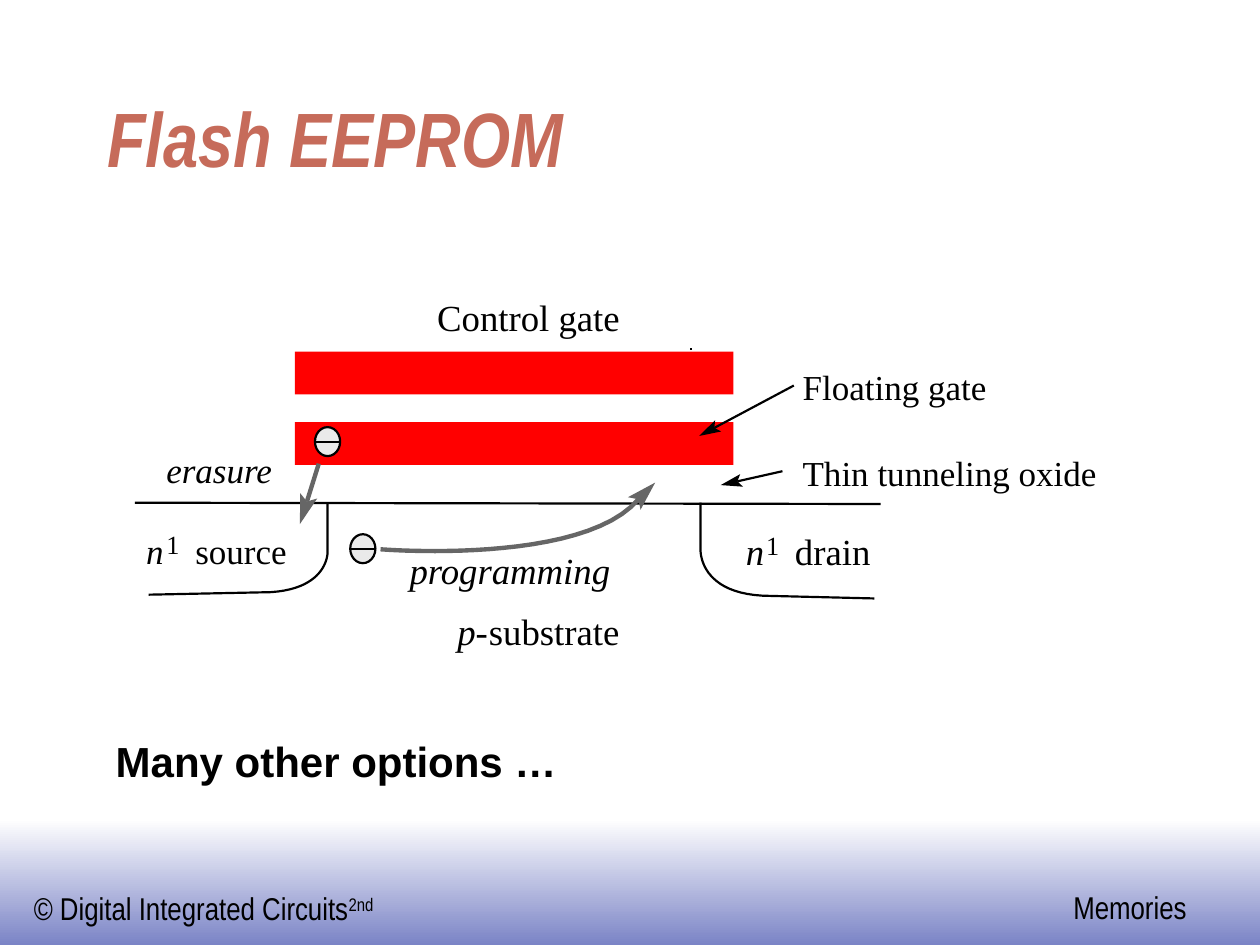
from dataclasses import dataclass
from math import hypot

from lxml import etree
from pptx import Presentation
from pptx import util as u
from pptx.dml.color import RGBColor
from pptx.enum import shapes, text
from pptx.oxml import ns

BLACK = RGBColor(0x00, 0x00, 0x00)
WHITE = RGBColor(0xFF, 0xFF, 0xFF)
RED = RGBColor(0xFF, 0x00, 0x00)
GRAY = RGBColor(0x66, 0x66, 0x66)
PALE = RGBColor(0xEA, 0xEA, 0xEA)
CORAL = RGBColor(0xC6, 0x6B, 0x5A)
PERIWINKLE = RGBColor(0x7B, 0x84, 0xC6)

COLUMNS, ROWS = 100, 75
CELL = u.Inches(0.1)
THIN, THICK = 1.25, 2.5
SERIF, NARROW, SANS = "Times New Roman", "Arial Narrow", "Arial"


@dataclass
class Box:
    left: float
    top: float
    width: float
    height: float

    def point(self, column, row):
        return round((self.left + column) * CELL), round((self.top + row) * CELL)

    def frame(self, column, row, width, height):
        return *self.point(column, row), round(width * CELL), round(height * CELL)


def paint(shape, fill=None, line=None, weight=THIN):
    shape.shadow.inherit = False
    if fill is None:
        shape.fill.background()
    else:
        shape.fill.solid()
        shape.fill.fore_color.rgb = fill
    if line is None:
        shape.line.fill.background()
    else:
        shape.line.color.rgb = line
        shape.line.width = u.Pt(weight)


def style_run(run, size, font, color=BLACK, bold=False, italic=False):
    run.font.size, run.font.name = u.Pt(size), font
    run.font.bold, run.font.italic = bold, italic
    run.font.color.rgb = color


def add_label(slide, frame, words, size, font=SERIF, italic=False, bold=False, inset=0):
    text_frame = slide.shapes.add_textbox(*frame).text_frame
    text_frame.word_wrap = False
    text_frame.auto_size = text.MSO_AUTO_SIZE.SHAPE_TO_FIT_TEXT
    text_frame.margin_left = text_frame.margin_right = u.Inches(inset)
    text_frame.margin_top = text_frame.margin_bottom = u.Inches(inset / 2)
    text_frame.text = words
    paragraph = text_frame.paragraphs[0]
    style_run(paragraph.runs[0], size, font, bold=bold, italic=italic)
    return paragraph


def add_line(slide, box, start, end, color=BLACK, weight=THIN):
    line = slide.shapes.add_connector(
        shapes.MSO_CONNECTOR.STRAIGHT, *box.point(*start), *box.point(*end))
    line.line.color.rgb = color
    line.line.width = u.Pt(weight)
    etree.SubElement(line._element.spPr, ns.qn("a:effectLst"))


def add_outline(slide, box, points, close=False, **look):
    vertices = [box.point(*point) for point in points]
    builder = slide.shapes.build_freeform(*vertices[0])
    builder.add_line_segments(vertices[1:], close=close)
    paint(builder.convert_to_shape(), **look)


def curve(start, first, second, end, steps=24):
    return [
        tuple((1 - t) ** 3 * a + 3 * t * (1 - t) ** 2 * b + 3 * t * t * (1 - t) * c + t ** 3 * d
              for a, b, c, d in zip(start, first, second, end))
        for t in (step / steps for step in range(steps + 1))]


def add_head(slide, box, tip, source, length, color):
    dx, dy = source[0] - tip[0], source[1] - tip[1]
    span = hypot(dx, dy)
    dx, dy = dx / span * length, dy / span * length
    barbs = [(tip[0] + dx - side * dy, tip[1] + dy + side * dx) for side in (-0.3, 0.3)]
    notch = (tip[0] + 0.8 * dx, tip[1] + 0.8 * dy)
    add_outline(slide, box, [tip, barbs[0], notch, barbs[1]], close=True, fill=color)


def add_arrow(slide, box, start, tip, length, color=BLACK, weight=THIN):
    share = 0.8 * length / hypot(start[0] - tip[0], start[1] - tip[1])
    neck = tuple(t + share * (s - t) for s, t in zip(start, tip))
    add_line(slide, box, start, neck, color, weight)
    add_head(slide, box, tip, start, length, color)


def add_electron(slide, box, column, row):
    width, height = 2, 2.3
    circle = slide.shapes.add_shape(
        shapes.MSO_SHAPE.OVAL, *box.frame(column, row, width, height))
    paint(circle, PALE, BLACK)
    middle = row + height / 2
    add_line(slide, box, (column, middle), (column + width, middle))


def add_title(slide, box):
    title = slide.shapes.title
    title.left, title.top, title.width, title.height = box.frame(0, 0, box.width, box.height)
    text_frame = title.text_frame
    text_frame.text = "Flash EEPROM"
    text_frame.auto_size = text.MSO_AUTO_SIZE.NONE
    text_frame.vertical_anchor = text.MSO_ANCHOR.BOTTOM
    paragraph = text_frame.paragraphs[0]
    paragraph.alignment = text.PP_ALIGN.LEFT
    style_run(paragraph.runs[0], 44, NARROW, CORAL, bold=True, italic=True)


def add_footer(slide, box):
    band = slide.shapes.add_shape(
        shapes.MSO_SHAPE.RECTANGLE, *box.frame(0, 0, box.width, box.height))
    paint(band)
    band.fill.gradient()
    band.fill.gradient_angle = 270
    for stop, color in zip(band.fill.gradient_stops, (WHITE, PERIWINKLE)):
        stop.color.rgb = color
    credit = add_label(slide, box.frame(1.7, 5.1, 29.3, 4),
                       "© Digital Integrated Circuits", 18, NARROW, inset=0.1)
    edition = credit.add_run()
    edition.text = "2nd"
    style_run(edition, 18, NARROW)
    edition._r.get_or_add_rPr().set("baseline", "30000")
    add_label(slide, box.frame(84.2, 5, 11, 4), "Memories", 18, NARROW, inset=0.1)


def add_cell_diagram(slide, box):
    for row in (4.9, 10.5):
        gate = slide.shapes.add_shape(
            shapes.MSO_SHAPE.RECTANGLE, *box.frame(13.4, row, 34.8, 3.4))
        paint(gate, RED)

    wells = [
        ((16, 16.9), (16, 20.8), (16.1, 23.7), (11.5, 24), (1.8, 24.2)),
        ((45.6, 16.9), (45.6, 20.6), (45.4, 24.3), (51.2, 24.3), (59.4, 24.5)),
    ]
    for top, bend, pull, base, end in wells:
        add_outline(slide, box, [top, *curve(bend, bend, pull, base), end], line=BLACK)
    add_line(slide, box, (0.7, 16.9), (59.9, 17))
    add_line(slide, box, (44.8, 4.7), (44.9, 4.7))

    labels = [
        ("Control gate", 24.7, 0.4, 15.9, 21, False),
        ("erasure", 3.2, 12.6, 8.6, 20, True),
        ("p-", 26.3, 25.3, 2.6, 21, True),
        ("substrate", 28.8, 25.3, 11.5, 21, False),
        ("Floating gate", 53.7, 6, 15.8, 20, False),
        ("Thin tunneling oxide", 53.7, 12.8, 25.1, 20, False),
        ("n", 1.6, 19, 1.5, 20, True),
        ("1", 3.2, 18.9, 1.7, 15, False),
        ("source", 5.5, 19, 7.9, 20, False),
        ("n", 49.2, 19, 1.6, 21, True),
        ("1", 50.8, 19, 1.7, 15, False),
        ("drain", 53.1, 19, 6.6, 21, False),
        ("programming", 22.5, 20.5, 17.2, 21, True),
    ]
    for words, column, row, width, size, italic in labels:
        add_label(slide, box.frame(column, row, width, size / 6), words, size, italic=italic)

    add_electron(slide, box, 15, 10.9)
    add_electron(slide, box, 17.8, 19.4)
    add_arrow(slide, box, (53, 7.6), (45.5, 11.6), 1.7)
    add_arrow(slide, box, (52.1, 14.4), (47.2, 15.5), 1.7)
    add_arrow(slide, box, (15.3, 13.8), (13.8, 18.6), 2.35, GRAY, THICK)
    start, neck = (20.2, 20.6), (40.7, 16.6)
    add_outline(slide, box, curve(start, start, (36.3, 21.9), neck), line=GRAY, weight=THICK)
    add_head(slide, box, (42, 15.3), neck, 2.35, GRAY)


def add_remark(slide, box):
    add_label(slide, box.frame(0, 0, box.width, box.height),
              "Many other options …", 24, SANS, bold=True, inset=0.1)


def main():
    presentation = Presentation()
    presentation.slide_width = COLUMNS * CELL
    presentation.slide_height = ROWS * CELL
    slide = presentation.slides.add_slide(presentation.slide_layouts[5])
    add_footer(slide, Box(0, 65, COLUMNS, 10))
    add_title(slide, Box(7.5, 2.5, 85, 12.5))
    add_cell_diagram(slide, Box(10, 23, 79, 29))
    add_remark(slide, Box(8.2, 57.9, 37, 5))
    presentation.save("out.pptx")


if __name__ == "__main__":
    main()
